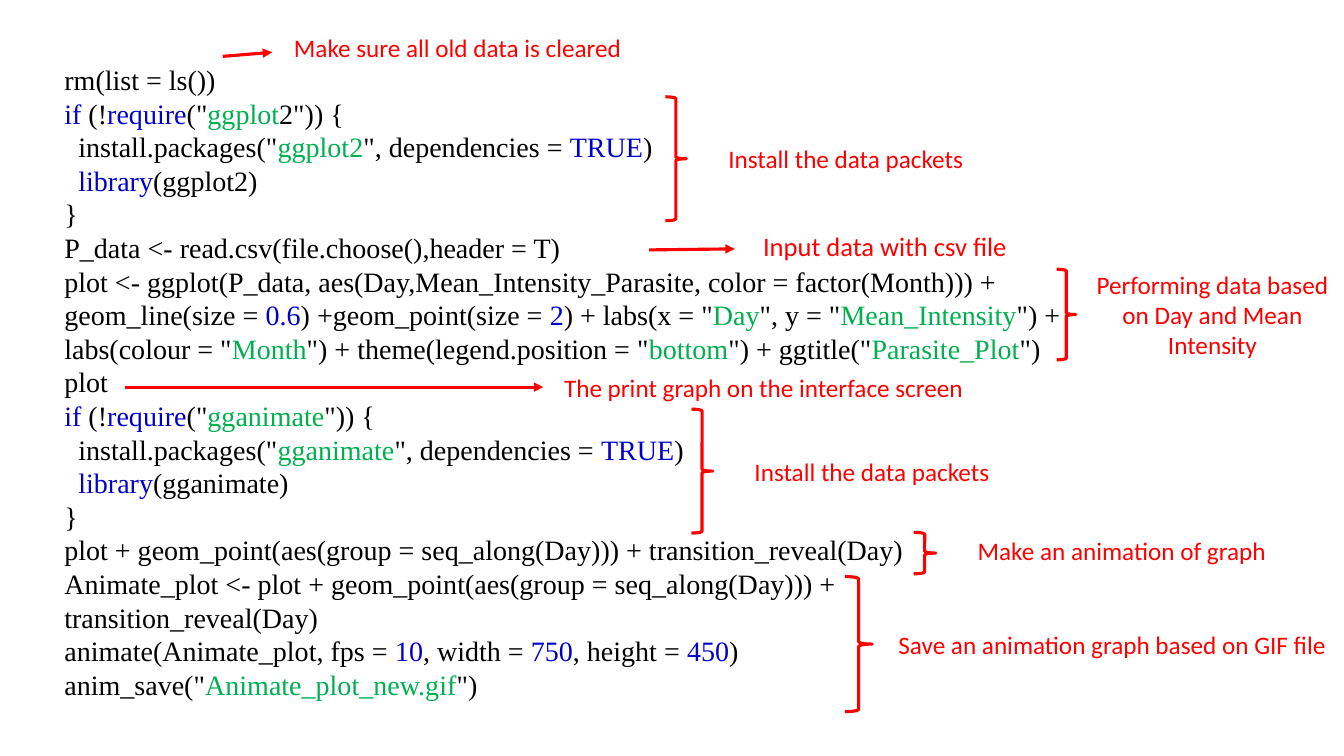
from lxml import etree
from pptx import Presentation
from pptx.dml.color import RGBColor
from pptx.enum.shapes import MSO_CONNECTOR, MSO_SHAPE
from pptx.enum.text import MSO_ANCHOR, PP_ALIGN
from pptx.oxml.ns import qn
from pptx.util import Inches, Pt

STRAIGHT = MSO_CONNECTOR.STRAIGHT
BRACE = MSO_SHAPE.RIGHT_BRACE
ROUNDED = MSO_SHAPE.ROUNDED_RECTANGLE
MIDDLE = MSO_ANCHOR.MIDDLE
CENTER = PP_ALIGN.CENTER
LEFT_SIDE = 1

COLORS = {"code": "000000", "keyword": "0000CC", "string": "00B050", "note": "FF0000"}
CODE_FONT, NOTE_FONT = "Times New Roman", "Calibri"

# Grid: 40 columns over the slide, one row per line of code
SLIDE_W, SLIDE_H = 13.33, 7.5
COLUMN = SLIDE_W / 40
CODE_TOP, CODE_HEIGHT, CODE_LINES = 0.62, 6.4, 19
ROW = CODE_HEIGHT / CODE_LINES

# In the code, ~ encloses keywords and numbers, $ encloses strings
MARKS = {"~": "keyword", "$": "string"}


def install_block(required, package):
    return [
        f'~if~ (!~require~("{required}")) {{',
        f'  install.packages("${package}$", dependencies = ~TRUE~)',
        f"  ~library~({package})",
        "}",
    ]


CODE = [
    "rm(list = ls())",
    *install_block("$ggplot$2", "ggplot2"),
    "P_data <- read.csv(file.choose(),header = T)",
    "plot <- ggplot(P_data, aes(Day,Mean_Intensity_Parasite, color = factor(Month))) + "
    'geom_line(size = ~0.6~) +geom_point(size = ~2~) + labs(x = "$Day$", '
    'y = "$Mean_Intensity$") + labs(colour = "$Month$") + '
    'theme(legend.position = "$bottom$") + ggtitle("$Parasite_Plot$")',
    "plot",
    *install_block("$gganimate$", "gganimate"),
    "plot + geom_point(aes(group = seq_along(Day))) + transition_reveal(Day)",
    "Animate_plot <- plot + geom_point(aes(group = seq_along(Day))) + transition_reveal(Day)",
    "animate(Animate_plot, fps = ~10~, width = ~750~, height = ~450~)",
    'anim_save("$Animate_plot_new.gif$")',
]

# Notes: text, (column, row, columns, rows), size
CLEAR_NOTE = ("Make sure all old data is cleared", (7.44, -1.28, 12.36, 1.69), 18)
INPUT_NOTE = ("Input data with csv file", (22.12, 4.57, 8.43, 1.69), 19)
PRINT_NOTE = ("The print graph on the interface screen", (16.17, 8.76, 13.11, 1.6), 18)
INSTALL_TEXT = "Install the data packets"

# Braced notes: brace area, text, text area
BRACED_NOTES = [
    ((19.8, 1.01, 0.63, 3.65), INSTALL_TEXT, (19.8, 1.87, 10.74, 1.93)),
    ((31.45, 6.09, 0.57, 2.67), "Performing data based on Day and Mean Intensity",
     (32.17, 6.09, 7.83, 2.67)),
    ((20.58, 10.21, 0.63, 3.65), INSTALL_TEXT, (20.58, 11.07, 10.74, 1.93)),
    ((27.19, 13.84, 0.66, 1.22), "Make an animation of graph", (27.85, 13.54, 11.07, 1.69)),
    ((25.15, 15.14, 0.81, 3.98), "Save an animation graph based on GIF file",
     (26.2, 15.91, 13.8, 2.43)),
]


def color(name):
    return RGBColor.from_string(COLORS[name])


def point(column, row):
    return Inches(column * COLUMN), Inches(CODE_TOP + row * ROW)


def area(column, row, columns, rows):
    return *point(column, row), Inches(columns * COLUMN), Inches(rows * ROW)


def style_line(line):
    line.color.rgb = color("note")
    line.width = Pt(2.25)


def split_marks(marked):
    """Yield (text, colour name) for each part of a marked line of code."""
    part, kind = "", "code"
    for char in marked:
        if char in MARKS:
            if part:
                yield part, kind
            part, kind = "", MARKS[char] if kind == "code" else "code"
        else:
            part += char
    if part:
        yield part, kind


def add_code(slide):
    listing = slide.shapes.add_textbox(
        Inches(0.54), Inches(CODE_TOP - 0.05), Inches(10.34), Inches(CODE_HEIGHT + 0.1))
    frame = listing.text_frame
    frame.word_wrap = True
    for number, marked in enumerate(CODE):
        paragraph = frame.add_paragraph() if number else frame.paragraphs[0]
        paragraph.font.name = CODE_FONT
        paragraph.font.size = Pt(20)
        for text, kind in split_marks(marked):
            run = paragraph.add_run()
            run.text = text
            run.font.color.rgb = color(kind)


def add_note(slide, text, place, size=18):
    note = slide.shapes.add_shape(ROUNDED, *area(*place))
    note.shadow.inherit = False
    note.fill.background()
    note.line.fill.background()
    frame = note.text_frame
    frame.word_wrap = True
    frame.vertical_anchor = MIDDLE
    paragraph = frame.paragraphs[0]
    paragraph.text = text
    paragraph.alignment = CENTER
    paragraph.font.name = NOTE_FONT
    paragraph.font.size = Pt(size)
    paragraph.font.color.rgb = color("note")
    return note


def add_brace(slide, place):
    brace = slide.shapes.add_shape(BRACE, *area(*place))
    brace.shadow.inherit = False
    brace.fill.background()
    style_line(brace.line)


def add_arrow(slide, start, end):
    arrow = slide.shapes.add_connector(STRAIGHT, *point(*start), *point(*end))
    style_line(arrow.line)
    etree.SubElement(arrow.line._get_or_add_ln(), qn("a:tailEnd"), type="triangle")
    etree.SubElement(arrow._element.spPr, qn("a:effectLst"))
    return arrow


def main():
    deck = Presentation()
    deck.slide_width, deck.slide_height = Inches(SLIDE_W), Inches(SLIDE_H)
    slide = deck.slides.add_slide(deck.slide_layouts[6])

    # Code listing
    add_code(slide)

    # Notes with arrows
    add_note(slide, *CLEAR_NOTE)
    add_arrow(slide, (6.63, -0.18), (8.1, -0.3))
    add_note(slide, *INPUT_NOTE)
    add_arrow(slide, (19.32, 5.52), (21.87, 5.49))
    print_note = add_note(slide, *PRINT_NOTE)
    print_arrow = add_arrow(slide, (3.72, 9.56), (16.17, 9.56))
    print_arrow.end_connect(print_note, LEFT_SIDE)

    # Notes with braces
    for brace_place, text, text_place in BRACED_NOTES:
        add_brace(slide, brace_place)
        add_note(slide, text, text_place)

    deck.save("out.pptx")


if __name__ == "__main__":
    main()
